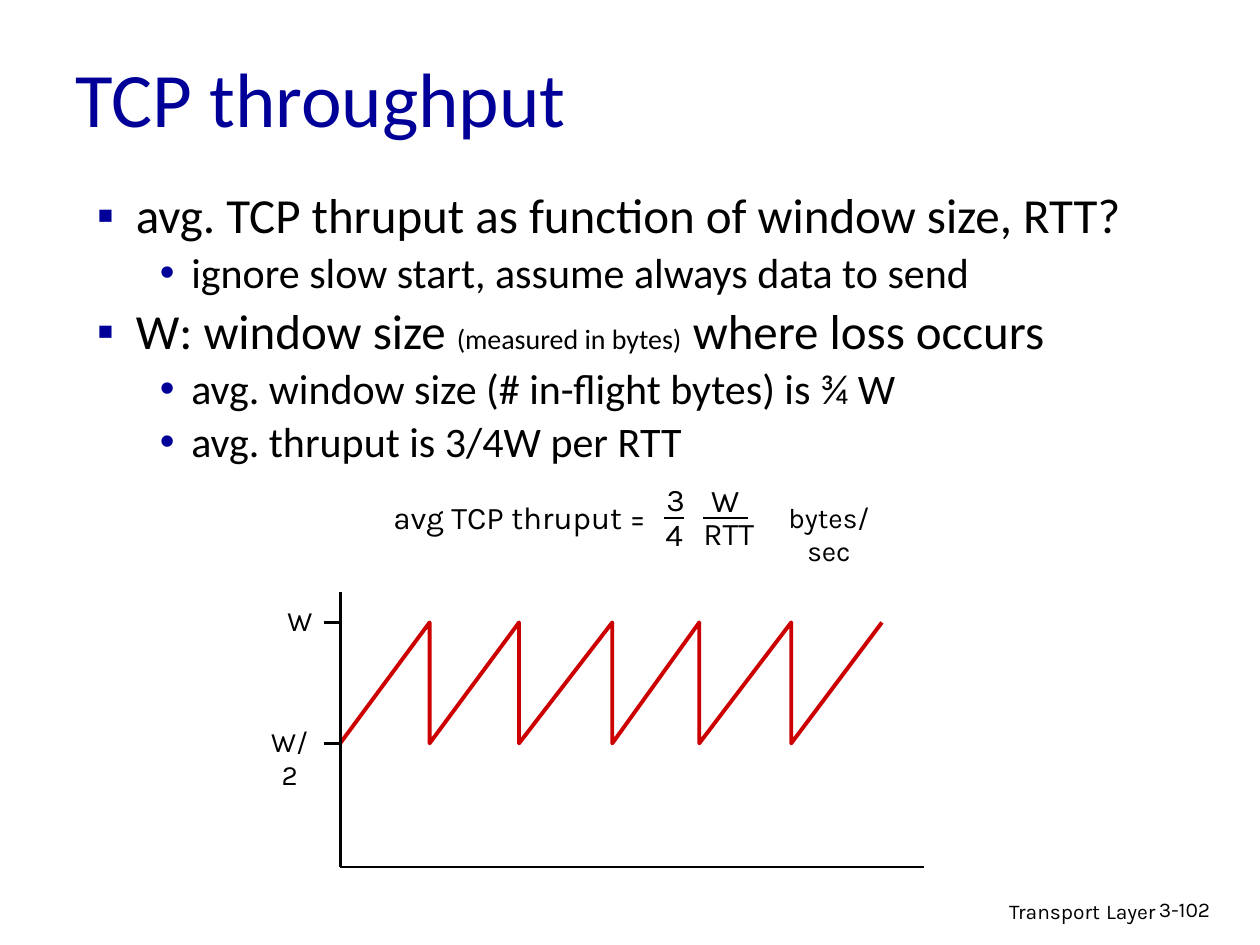
import pptx
import pptx.util
import pptx.dml.color
import pptx.enum.shapes
import pptx.enum.text
import pptx.oxml.ns
from lxml import etree

Inches, Pt = pptx.util.Inches, pptx.util.Pt
RGB = pptx.dml.color.RGBColor
ALIGN = pptx.enum.text.PP_ALIGN
ANCHOR = pptx.enum.text.MSO_ANCHOR
qn = pptx.oxml.ns.qn

NAVY, BLACK, RED = RGB(0, 0, 0x99), RGB(0, 0, 0), RGB(0xCC, 0, 0)
HEAD, BODY = "Calibri", "Karla"
W, H = 10, 7.5

# Content: bullets as (level, runs), each run as (text, size)
BULLETS = [
    (0, [("avg. TCP thruput as function of window size, RTT?", 28)]),
    (1, [("ignore slow start, assume always data to send", 24)]),
    (0, [("W: window size ", 28), ("(measured in bytes)", 16), (" where loss occurs", 28)]),
    (1, [("avg. window size (# in-flight bytes) is ¾ W", 24)]),
    (1, [("avg. thruput is 3/4W per RTT", 24)]),
]
# level: (bullet, text indent, hanging indent, space before)
LEVELS = {0: ("▪", 0.31, 0.31, 7), 1: ("•", 0.75, 0.25, 6)}

# Formula and axis labels: text, box, size, wrap
LABELS = [
    ("avg TCP thruput = ", (2.97, 3.9, 2.37, 0.4), 18, False),
    ("3", (5.19, 3.76, 0.34, 0.4), 18, False),
    ("4", (5.18, 4.04, 0.34, 0.4), 18, False),
    ("W", (5.54, 3.77, 0.43, 0.4), 18, False),
    ("RTT", (5.47, 4.03, 0.63, 0.4), 18, False),
    ("bytes/sec", (6.08, 3.92, 1, 0.37), 16, True),
    ("W", (2.18, 4.74, 0.4, 0.37), 16, False),
    ("W/2", (2.03, 5.7, 0.54, 0.37), 16, True),
]
FRACTION_Y = 4.11
FRACTION_BARS = [(5.27, 5.43), (5.58, 5.94)]

# Chart geometry
AXIS_X, AXIS_TOP, AXIS_Y, AXIS_RIGHT = 2.7, 4.7, 6.88, 7.33
W_Y, HALF_Y, TICK = 4.94, 5.9, 0.13
PEAKS = [3.41, 4.12, 4.86, 5.55, 6.28, 7]

prs = pptx.Presentation()
prs.slide_width, prs.slide_height = Inches(W), Inches(H)
s = prs.slides.add_slide(prs.slide_layouts[6])


def add_bullet(p, level):
    char, indent, hang, before = LEVELS[level]
    pPr = p._p.get_or_add_pPr()
    pPr.set("marL", str(Inches(indent)))
    pPr.set("indent", str(-Inches(hang)))
    clr = etree.SubElement(pPr, qn("a:buClr"))
    etree.SubElement(clr, qn("a:srgbClr")).set("val", str(NAVY))
    etree.SubElement(pPr, qn("a:buFont")).set("typeface", "Arial")
    etree.SubElement(pPr, qn("a:buChar")).set("char", char)
    p.level = level
    p.line_spacing = 0.85
    return Pt(before)


def add_text(text, box, size=16, font=BODY, color=BLACK, align=ALIGN.LEFT,
             anchor=ANCHOR.TOP, wrap=True):
    """Text is a string, or a list of (level, [(run text, size)])."""
    tf = s.shapes.add_textbox(*map(Inches, box)).text_frame
    tf.word_wrap, tf.vertical_anchor = wrap, anchor
    paragraphs = [(None, [(text, size)])] if isinstance(text, str) else text
    for i, (level, runs) in enumerate(paragraphs):
        p = tf.add_paragraph() if i else tf.paragraphs[0]
        p.alignment = align
        if level is not None:
            before = add_bullet(p, level)
            if i:
                p.space_before = before
        for run_text, run_size in runs:
            r = p.add_run()
            r.text = run_text
            r.font.name, r.font.size = font, Pt(run_size)
            r.font.color.rgb = color


def add_line(x1, y1, x2, y2):
    c = s.shapes.add_connector(pptx.enum.shapes.MSO_CONNECTOR.STRAIGHT,
                               *map(Inches, (x1, y1, x2, y2)))
    c.line.color.rgb, c.line.width = BLACK, Pt(1.5)
    etree.SubElement(c._element.spPr, qn("a:effectLst"))


# Footer, title and bullets
add_text([(None, [("Transport", 12), (" ", 14), ("Layer", 12)])],
         (6.1, 7.05, 3.17, 0.31), align=ALIGN.RIGHT)
add_text("3-102", (9.1, 7.07, 0.74, 0.3), size=12)
add_text("TCP throughput", (0.5, 0.26, 8.5, 1.02), size=44, font=HEAD, color=NAVY,
         anchor=ANCHOR.MIDDLE)
add_text(BULLETS, (0.67, 1.49, 9.04, 5.08), font=HEAD)

# Sawtooth: climb to W, drop to W/2
points = [(x, y) for x in PEAKS for y in (W_Y, HALF_Y)][:-1]
fb = s.shapes.build_freeform(Inches(AXIS_X), Inches(HALF_Y))
fb.add_line_segments([(Inches(x), Inches(y)) for x, y in points], close=False)
saw = fb.convert_to_shape()
saw.shadow.inherit = False
saw.fill.background()
saw.line.color.rgb, saw.line.width = RED, Pt(2.25)

# Axes, ticks and fraction bars
add_line(AXIS_X, AXIS_Y, AXIS_RIGHT, AXIS_Y)
add_line(AXIS_X, AXIS_TOP, AXIS_X, AXIS_Y)
for y in (W_Y, HALF_Y):
    add_line(AXIS_X - TICK, y, AXIS_X, y)
for x1, x2 in FRACTION_BARS:
    add_line(x1, FRACTION_Y, x2, FRACTION_Y)

# Formula and axis labels
for text, box, size, wrap in LABELS:
    add_text(text, box, size=size, align=ALIGN.CENTER, wrap=wrap)

prs.save("out.pptx")
